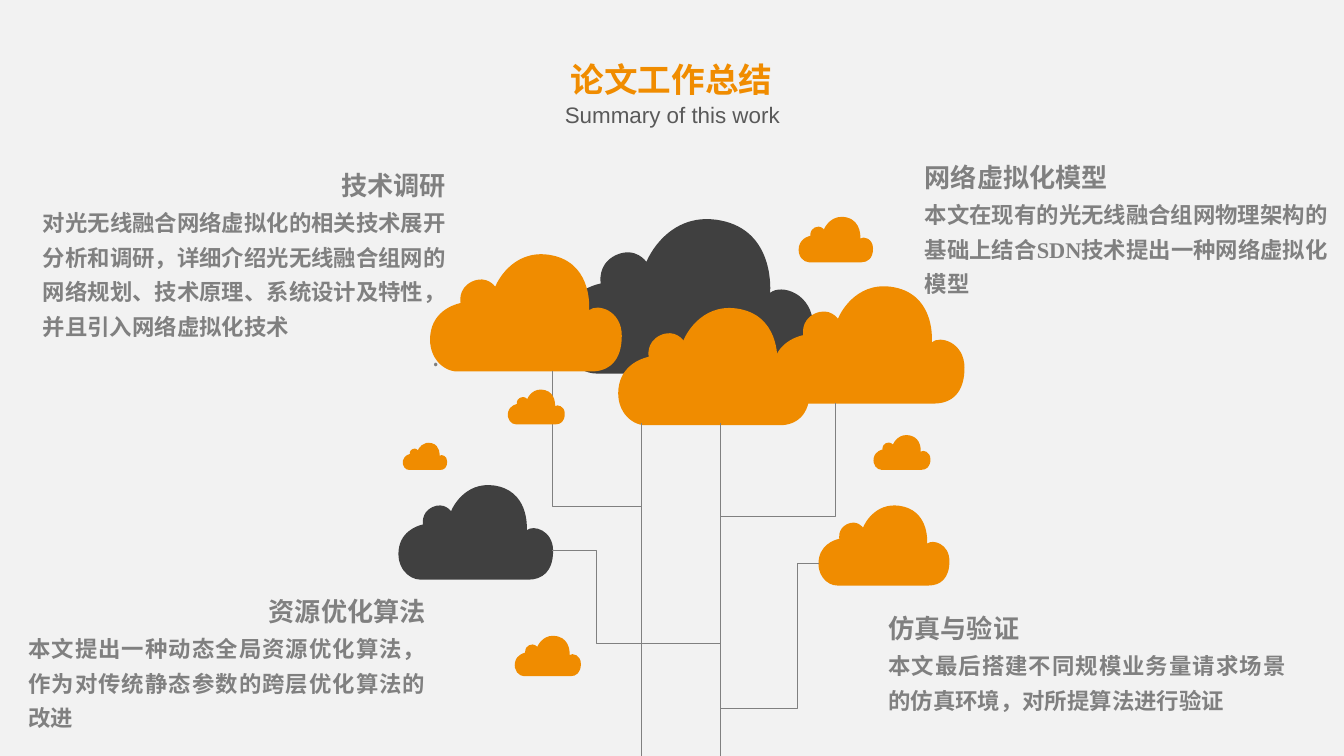
from lxml.etree import SubElement
from pptx import Presentation
from pptx.dml.color import RGBColor
from pptx.enum.shapes import MSO_CONNECTOR
from pptx.enum.text import MSO_AUTO_SIZE, PP_ALIGN
from pptx.oxml.ns import qn
from pptx.util import Pt

CJK, SERIF = "Noto Sans CJK SC", "Times New Roman"
THEME = {
    "background": RGBColor.from_string("F2F2F2"),
    "orange": RGBColor.from_string("F08C00"),
    "dark": RGBColor.from_string("404040"),
    "grey": RGBColor.from_string("808080"),
    "subtitle grey": RGBColor.from_string("595959"),
    "branch": Pt(0.5),
    "title": {"size": Pt(18), "bold": True, "name": CJK},
    "subtitle": {"size": Pt(12), "bold": False, "name": "Arial"},
    "heading": {"size": Pt(14), "bold": True, "name": CJK},
    "body": {"size": Pt(12), "bold": True, "name": CJK},
    "body serif": {"size": Pt(12), "bold": True, "name": SERIF},
    "dot": {"size": Pt(14), "bold": False, "name": CJK},
}
LEFT, CENTER, RIGHT, JUSTIFY = (
    PP_ALIGN.LEFT, PP_ALIGN.CENTER, PP_ALIGN.RIGHT, PP_ALIGN.JUSTIFY)

# Cloud outline: start point, then one Bezier curve a row (two controls, end)
CLOUD_WIDTH = 191
CLOUD_OUTLINE = [
    (31, 123),
    (51, 123), (145, 123), (162, 123),
    (179, 123), (192, 113), (192, 88),
    (192, 63), (168, 56), (160, 63),
    (160, 63), (164, 20), (127, 10),
    (89, 0), (71, 32), (68, 40),
    (68, 40), (60, 28), (45, 35),
    (31, 42), (34, 56), (34, 56),
    (34, 56), (10, 60), (5, 83),
    (0, 107), (16, 123), (31, 123),
]

prs = Presentation()
prs.slide_width, prs.slide_height = Pt(720), Pt(405)
slide = prs.slides.add_slide(prs.slide_layouts[6])
slide.background.fill.solid()
slide.background.fill.fore_color.rgb = THEME["background"]


def draw_outline(points, close):
    corners = [(Pt(x), Pt(y)) for x, y in points]
    builder = slide.shapes.build_freeform(*corners[0])
    builder.add_line_segments(corners[1:], close=close)
    outline = builder.convert_to_shape()
    outline.shadow.inherit = False
    return outline


def draw_cloud(left, top, width, color):
    scale = width / CLOUD_WIDTH
    cloud = draw_outline(
        [(left + x * scale, top + y * scale) for x, y in CLOUD_OUTLINE], True)
    cloud.fill.solid()
    cloud.fill.fore_color.rgb = THEME[color]
    cloud.line.fill.background()
    # Join every three straight segments into one Bezier curve
    segments = list(cloud._element.iter(qn("a:lnTo")))
    for curve, control, end in zip(segments[::3], segments[1::3], segments[2::3]):
        curve.tag = qn("a:cubicBezTo")
        for segment in (control, end):
            curve.append(segment[0])
            segment.getparent().remove(segment)


# Crown of the tree and loose clouds
for left, top, width, color in [
    (297.4, 111.6, 137.5, "dark"),
    (228.2, 131.8, 104.4, "orange"),
    (329, 160.6, 104.4, "orange"),
    (411.8, 149, 104.4, "orange"),
    (427, 114.5, 40.5, "orange"),
    (215.3, 236.2, 24.2, "orange"),
    (467.3, 231.8, 31, "orange"),
    (211.7, 256.3, 84.2, "dark"),
    (437, 267.8, 71.3, "orange"),
    (275, 339.1, 36, "orange"),
]:
    draw_cloud(left, top, width, color)

# Trunk
TRUNK_LEFT, TRUNK_RIGHT = 343.4, 385.9
for x in (TRUNK_LEFT, TRUNK_RIGHT):
    trunk = slide.shapes.add_connector(
        MSO_CONNECTOR.STRAIGHT, Pt(x), Pt(226.8), Pt(x), Pt(405))
    trunk.line.color.rgb = THEME["grey"]
    trunk.line.width = THEME["branch"]
    SubElement(trunk._element.spPr, qn("a:effectLst"))

# Branches
for bends in [
    [(295.9, 198.7), (295.9, 271.4), (TRUNK_LEFT, 271.4)],
    [(TRUNK_RIGHT, 276.5), (447.8, 276.5), (447.8, 216)],
    [(438.5, 301.7), (427, 301.7), (427, 379.8), (TRUNK_RIGHT, 379.8)],
    [(TRUNK_RIGHT, 344.5), (319.7, 344.5), (319.7, 294.9), (295.9, 294.9)],
]:
    branch = draw_outline(bends, False)
    branch.fill.background()
    branch.line.color.rgb = THEME["grey"]
    branch.line.width = THEME["branch"]

# Small cloud in front of the left branch
draw_cloud(271.4, 207.4, 31, "orange")

# Texts: box, insets, colour, paragraphs of (text, style, alignment, spacing)
for box, insets, color, paragraphs in [
    ((272.2, 28.1, 175, 28.8), (7.2, 3.6), "orange",
     [("论文工作总结", "title", CENTER, None)]),
    ((289.4, 54, 141.8, 14.4), (0, 0), "subtitle grey",
     [("Summary of this work", "subtitle", CENTER, None)]),
    ((23, 85.7, 216, 114.5), (0, 0), "grey",
     [("技术调研", "heading", RIGHT, 1.3),
      ("对光无线融合网络虚拟化的相关技术展开分析和调研，详细介绍光无线融合组网的"
       "网络规划、技术原理、系统设计及特性，并且引入网络虚拟化技术", "body", JUSTIFY, 1.3),
      (". ", "dot", RIGHT, None)]),
    ((495.4, 81.4, 216, 78.5), (0, 0), "grey",
     [("网络虚拟化模型", "heading", LEFT, 1.3),
      ("本文在现有的光无线融合组网物理架构的基础上结合SDN技术提出一种网络虚拟化模型",
       "body serif", JUSTIFY, 1.3)]),
    ((15.1, 313.9, 213.1, 78.5), (0, 0), "grey",
     [("资源优化算法", "heading", RIGHT, 1.3),
      ("本文提出一种动态全局资源优化算法，作为对传统静态参数的跨层优化算法的改进",
       "body", JUSTIFY, 1.3)]),
    ((475.9, 323.3, 213.1, 59.8), (0, 0), "grey",
     [("仿真与验证", "heading", LEFT, 1.3),
      ("本文最后搭建不同规模业务量请求场景的仿真环境，对所提算法进行验证",
       "body", JUSTIFY, 1.3)]),
]:
    frame = slide.shapes.add_textbox(*map(Pt, box)).text_frame
    frame.word_wrap = True
    frame.auto_size = MSO_AUTO_SIZE.SHAPE_TO_FIT_TEXT
    frame.margin_left = frame.margin_right = Pt(insets[0])
    frame.margin_top = frame.margin_bottom = Pt(insets[1])
    for index, (text, style, alignment, spacing) in enumerate(paragraphs):
        paragraph = frame.add_paragraph() if index else frame.paragraphs[0]
        paragraph.alignment = alignment
        paragraph.line_spacing = spacing
        run = paragraph.add_run()
        run.text = text
        for attribute, value in THEME[style].items():
            setattr(run.font, attribute, value)
        run.font.color.rgb = THEME[color]
        SubElement(run.font._element, qn("a:ea")).set("typeface", CJK)

prs.save("out.pptx")
